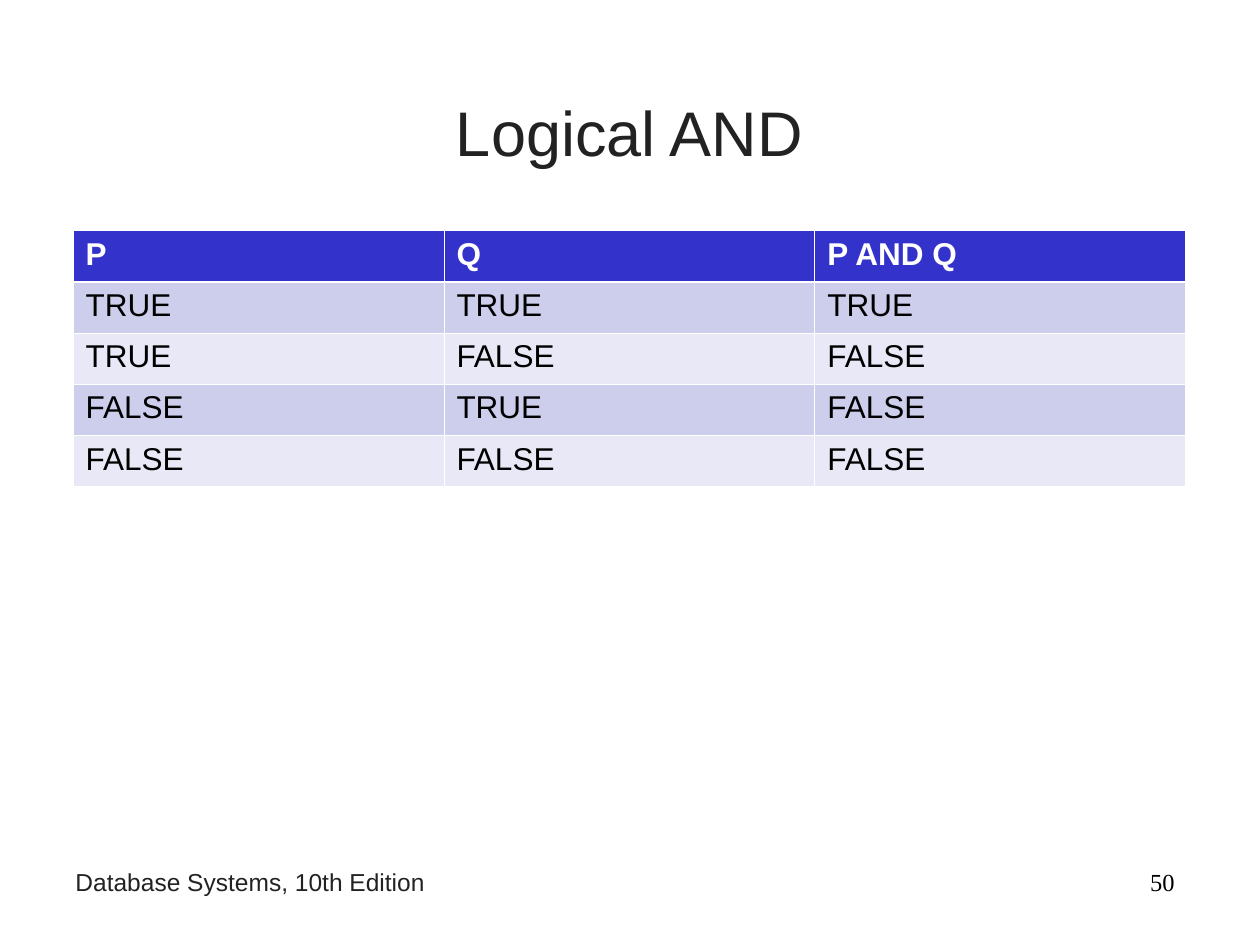
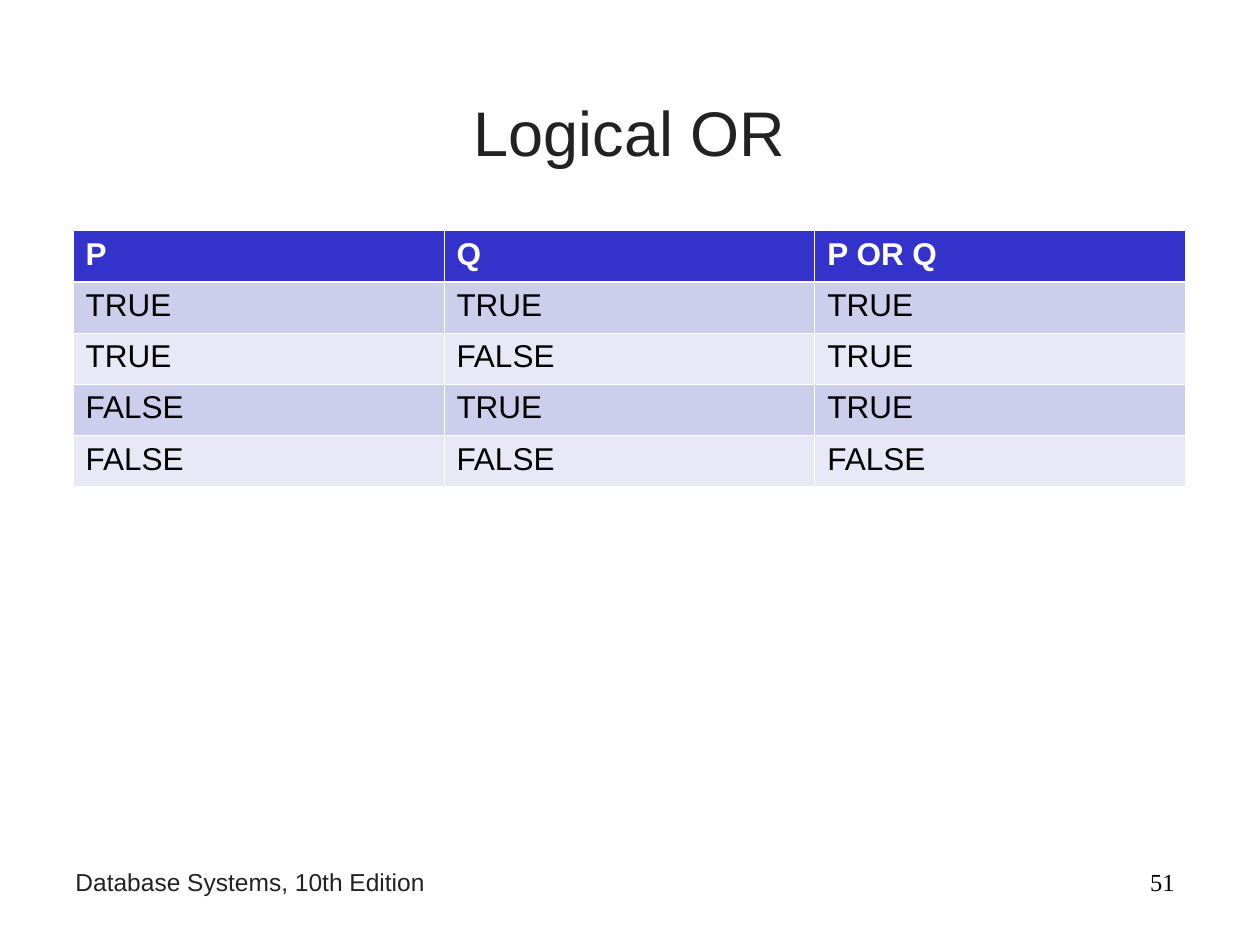
import pptx
import pptx.dml.color
import pptx.enum.text
import pptx.oxml.ns
import pptx.util
from lxml import etree
from pptx.util import Inches

FOOTER = "Database Systems, 10th Edition"
FIRST_PAGE = 50
INPUTS = [("TRUE", "TRUE"), ("TRUE", "FALSE"), ("FALSE", "TRUE"), ("FALSE", "FALSE")]
OPERATORS = [
    ("AND", ["TRUE", "FALSE", "FALSE", "FALSE"]),
    ("OR", ["TRUE", "TRUE", "TRUE", "FALSE"]),
]

SANS, SERIF = "Arial", "Times New Roman"
INK, BLACK, WHITE = "222222", "000000", "FFFFFF"
HEADER_FILL, ODD_FILL, EVEN_FILL = "3333CC", "CDCDEC", "E8E8F6"
THIN, THICK = 0.45, 1.47

LEFT, WIDTH = 0.58, 8.83
TABLE_TOP, TABLE_HEIGHT = 1.83, 2.03
FOOTER_TOP = 6.83

ALIGN = pptx.enum.text.PP_ALIGN
ANCHOR = pptx.enum.text.MSO_ANCHOR


def color(hex_code):
    return pptx.dml.color.RGBColor.from_string(hex_code)


def write(frame, text, size, ink, font=SANS, align=ALIGN.LEFT, bold=False):
    frame.text = text
    para = frame.paragraphs[0]
    para.alignment = align
    span = para.runs[0].font
    span.name, span.size, span.bold = font, pptx.util.Pt(size), bold
    span.color.rgb = color(ink)


def add_title(page, text):
    title = page.shapes.title
    title.left, title.top = Inches(LEFT), Inches(0.42)
    title.width, title.height = Inches(WIDTH), Inches(1.25)
    title.text_frame.vertical_anchor = ANCHOR.MIDDLE
    write(title.text_frame, text, 36, INK, align=ALIGN.CENTER)


def add_text(page, text, left, width, height, ink, font, align):
    box = page.shapes.add_textbox(
        Inches(left), Inches(FOOTER_TOP), Inches(width), Inches(height))
    box.text_frame.word_wrap = True
    write(box.text_frame, text, 14, ink, font, align)


def set_borders(cell, top, bottom):
    """Draw white cell edges; top and bottom are line widths in points."""
    properties = cell._tc.get_or_add_tcPr()
    for side, width in (("L", THIN), ("R", THIN), ("T", top), ("B", bottom)):
        line = etree.SubElement(properties, pptx.oxml.ns.qn(f"a:ln{side}"),
                                w=str(pptx.util.Pt(width)))
        fill = etree.SubElement(line, pptx.oxml.ns.qn("a:solidFill"))
        etree.SubElement(fill, pptx.oxml.ns.qn("a:srgbClr"), val=WHITE)


def add_truth_table(page, rows):
    table = page.shapes.add_table(
        len(rows), len(rows[0]), Inches(LEFT), Inches(TABLE_TOP),
        Inches(WIDTH), Inches(TABLE_HEIGHT)).table
    for row_index, values in enumerate(rows):
        is_header = row_index == 0
        band = HEADER_FILL if is_header else ODD_FILL if row_index % 2 else EVEN_FILL
        for column_index, value in enumerate(values):
            cell = table.cell(row_index, column_index)
            set_borders(cell, top=THICK if row_index == 1 else THIN,
                        bottom=THICK if is_header else THIN)
            cell.fill.solid()
            cell.fill.fore_color.rgb = color(band)
            write(cell.text_frame, value, 18, WHITE if is_header else BLACK,
                  bold=is_header)


def main():
    deck = pptx.Presentation()
    deck.slide_width, deck.slide_height = Inches(10), Inches(7.5)
    title_only = deck.slide_layouts[5]
    for number, (operator, results) in enumerate(OPERATORS, FIRST_PAGE):
        page = deck.slides.add_slide(title_only)
        add_title(page, f"Logical {operator}")
        rows = [("P", "Q", f"P {operator} Q")]
        rows += [(p, q, result) for (p, q), result in zip(INPUTS, results)]
        add_truth_table(page, rows)
        add_text(page, FOOTER, 0.5, 4.25, 0.67, INK, SANS, ALIGN.LEFT)
        add_text(page, str(number), 7.17, 2.25, 0.52, BLACK, SERIF, ALIGN.RIGHT)
    deck.save("out.pptx")


if __name__ == "__main__":
    main()
